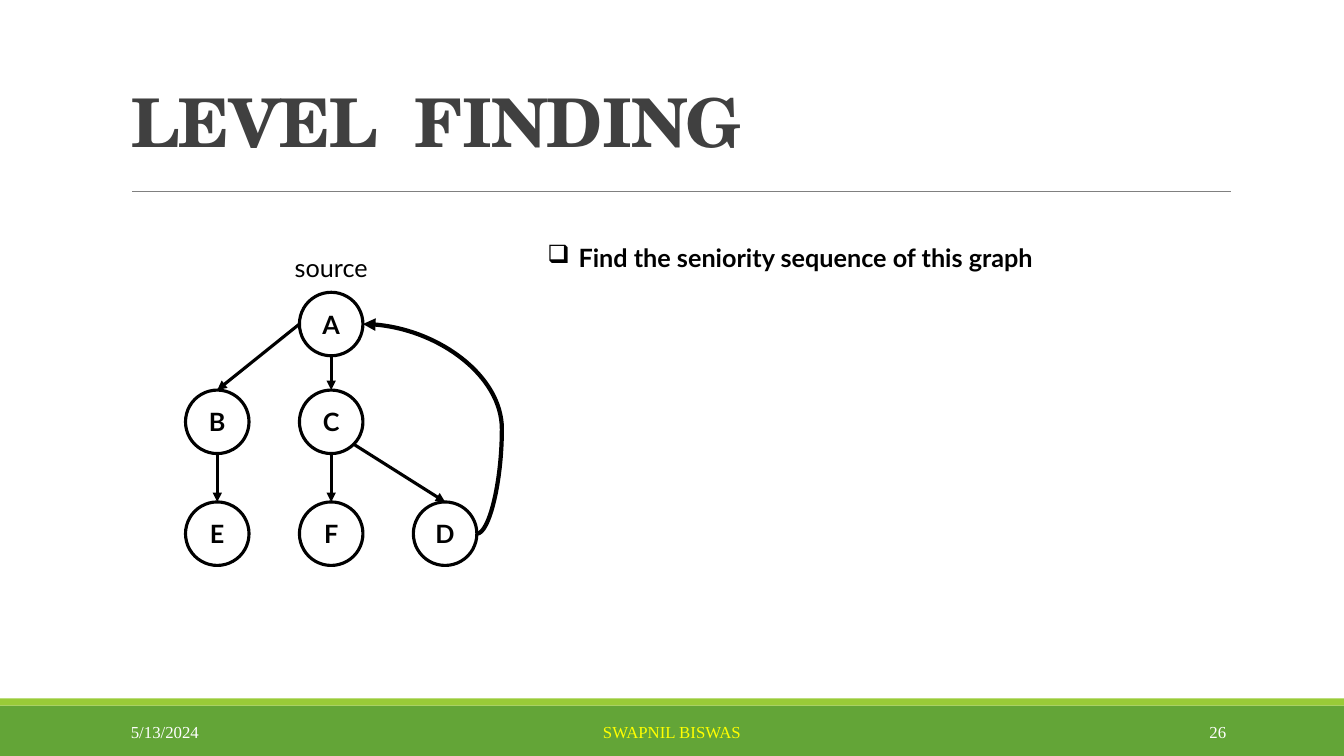
import pptx
import pptx.util
import pptx.dml.color
import pptx.enum.shapes
import pptx.enum.text
import pptx.oxml
import pptx.oxml.ns

Inches, Pt = pptx.util.Inches, pptx.util.Pt
RGBColor = pptx.dml.color.RGBColor
SHAPE = pptx.enum.shapes.MSO_SHAPE
CONNECTOR = pptx.enum.shapes.MSO_CONNECTOR
ALIGN = pptx.enum.text.PP_ALIGN
ANCHOR = pptx.enum.text.MSO_ANCHOR
qn = pptx.oxml.ns.qn

# Content
TITLE = "LEVEL  FINDING"
TASK = "Find the seniority sequence of this graph"
SOURCE_LABEL = "source"
NODES = {"A": (1, 0), "B": (0, 1), "C": (1, 1),
         "E": (0, 2), "F": (1, 2), "D": (2, 2)}  # column, row
EDGES = [("A", "left", "B", "top"), ("A", "bottom", "C", "top"),
         ("B", "bottom", "E", "top"), ("C", "bottom", "F", "top"),
         ("C", "corner", "D", "top")]
BACK_EDGE = ("D", "right", "A", "right")

# Colours and fonts
BLACK = RGBColor(0x00, 0x00, 0x00)
WHITE = RGBColor(0xFF, 0xFF, 0xFF)
YELLOW = RGBColor(0xFF, 0xFF, 0x00)
GRAY = RGBColor(0x80, 0x80, 0x80)
DARK = RGBColor(0x40, 0x40, 0x40)
GREEN = RGBColor(0x63, 0xA5, 0x37)
LIME = RGBColor(0x99, 0xCB, 0x38)
BODY_FONT, TITLE_FONT, FOOTER_FONT = "Lato", "TeX Gyre Schola", "Times New Roman"
FOOTER = [("5/13/2024", 1.2, 2.7, ALIGN.LEFT, WHITE),
          ("SWAPNIL BISWAS", 4.03, 5.27, ALIGN.CENTER, YELLOW),
          ("26", 10.83, 1.43, ALIGN.RIGHT, WHITE)]

# Geometry in inches
WIDTH, HEIGHT = 13.33, 7.5
COLUMN_LEFT, COLUMN_STEP = 1.84, 1.13
ROW_TOPS = (2.9, 3.87, 4.98)
NODE_SIZE = 0.63
SIDES = {"top": (0.5, 0), "left": (0, 0.5), "bottom": (0.5, 1),
         "right": (1, 0.5), "corner": (0.85, 0.85)}  # shares of a node
BACK_EDGE_BULGE = -0.22

deck = pptx.Presentation()
deck.slide_width, deck.slide_height = Inches(WIDTH), Inches(HEIGHT)
slide = deck.slides.add_slide(deck.slide_layouts[5])


def box(left, top, width, height):
    return [Inches(v) for v in (left, top, width, height)]


def write(frame, text, font, size, color, bold=False, align=ALIGN.LEFT):
    frame.text = text
    paragraph = frame.paragraphs[0]
    paragraph.alignment = align
    style = paragraph.runs[0].font
    style.name, style.size, style.bold = font, Pt(size), bold
    style.color.rgb = color
    return paragraph


def text_box(place, *style, wrap=True, anchor=ANCHOR.TOP, **options):
    frame = slide.shapes.add_textbox(*box(*place)).text_frame
    frame.word_wrap, frame.vertical_anchor = wrap, anchor
    return write(frame, *style, **options)


def connect(kind, start, end, color=BLACK, width=2.25, arrow=True):
    link = slide.shapes.add_connector(kind, *[Inches(v) for v in start + end])
    link.line.color.rgb, link.line.width = color, Pt(width)
    if arrow:
        link.line._get_or_add_ln().append(pptx.oxml.parse_xml(
            '<a:tailEnd %s type="triangle"/>' % pptx.oxml.ns.nsdecls("a")))
    link._element.spPr.append(pptx.oxml.parse_xml(
        "<a:effectLst %s/>" % pptx.oxml.ns.nsdecls("a")))
    return link


def corner_of(node):
    column, row = NODES[node]
    return COLUMN_LEFT + column * COLUMN_STEP, ROW_TOPS[row]


def port(node, side):
    return tuple(edge + share * NODE_SIZE
                 for edge, share in zip(corner_of(node), SIDES[side]))


# Footer bands and title rule
for top, height, color in ((7, 0.5, GREEN), (6.93, 0.07, LIME)):
    band = slide.shapes.add_shape(SHAPE.RECTANGLE, *box(0, top, WIDTH, height))
    band.shadow.inherit = False
    band.fill.solid()
    band.fill.fore_color.rgb = color
    band.line.fill.background()
connect(CONNECTOR.STRAIGHT, (1.31, 1.9), (12.21, 1.9), GRAY, 0.5, arrow=False)

# Title
title = slide.shapes.title
title.left, title.top, title.width, title.height = box(1.2, 0.06, 11, 1.59)
title.text_frame.auto_size = pptx.enum.text.MSO_AUTO_SIZE.NONE
title.text_frame.vertical_anchor = ANCHOR.BOTTOM
heading = write(title.text_frame, TITLE, TITLE_FONT, 48, DARK, bold=True)
heading.line_spacing = 0.85
heading.runs[0].font._element.set("spc", "-50")

# Graph nodes
for name in NODES:
    node = slide.shapes.add_shape(
        SHAPE.OVAL, *box(*corner_of(name), NODE_SIZE, NODE_SIZE))
    node.shadow.inherit = False
    node.fill.background()
    node.line.color.rgb, node.line.width = BLACK, Pt(2.25)
    label = node.text_frame
    label.margin_left = label.margin_right = 0
    label.margin_top = label.margin_bottom = 0
    label.vertical_anchor = ANCHOR.MIDDLE
    write(label, name, BODY_FONT, 18, BLACK, bold=True, align=ALIGN.CENTER)

# Graph edges
for parent, out_side, child, in_side in EDGES:
    connect(CONNECTOR.STRAIGHT, port(parent, out_side), port(child, in_side))
parent, out_side, child, in_side = BACK_EDGE
back = connect(CONNECTOR.CURVE, port(parent, out_side), port(child, in_side), width=3)
geometry = back._element.spPr.find(qn("a:prstGeom"))
guide = geometry.get_or_add_avLst()._add_gd()
guide.set("name", "adj1")
guide.set("fmla", "val %d" % round(BACK_EDGE_BULGE * 100000))

# Source label and task
text_box((2.82, 2.45, 0.93, 0.4), SOURCE_LABEL, BODY_FONT, 18, BLACK,
         wrap=False, align=ALIGN.CENTER)
task = text_box((5.33, 2.36, 5.69, 0.4), TASK, BODY_FONT, 18, BLACK, bold=True)
indent = task._p.get_or_add_pPr()
indent.set("marL", str(Inches(0.31)))
indent.set("indent", str(-Inches(0.31)))
indent.append(pptx.oxml.parse_xml(
    '<a:buChar %s char="❑"/>' % pptx.oxml.ns.nsdecls("a")))

# Footer texts
for text, left, width, align, color in FOOTER:
    text_box((left, 7.06, width, 0.4), text, FOOTER_FONT, 12, color,
             anchor=ANCHOR.MIDDLE, align=align)

deck.save("out.pptx")
